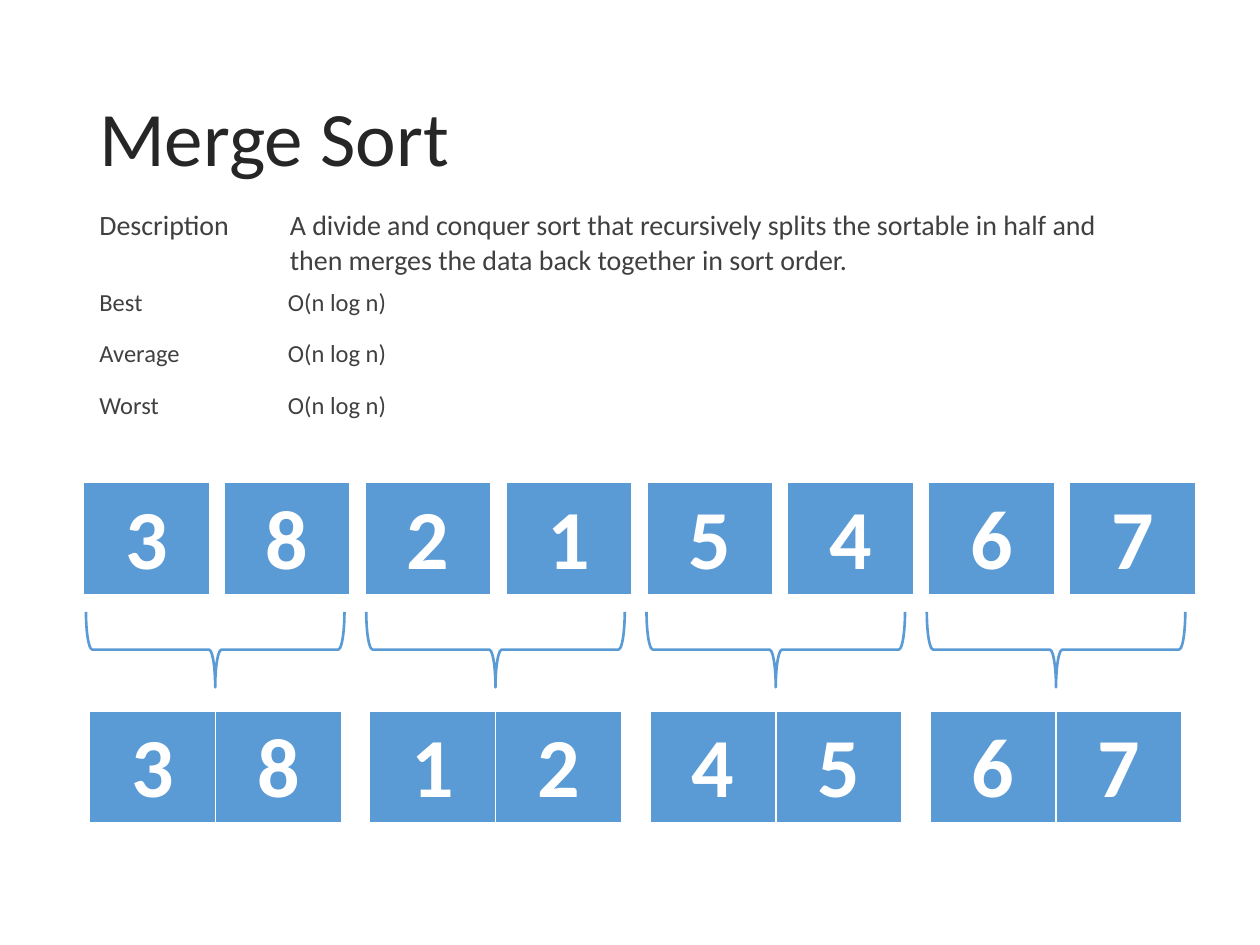
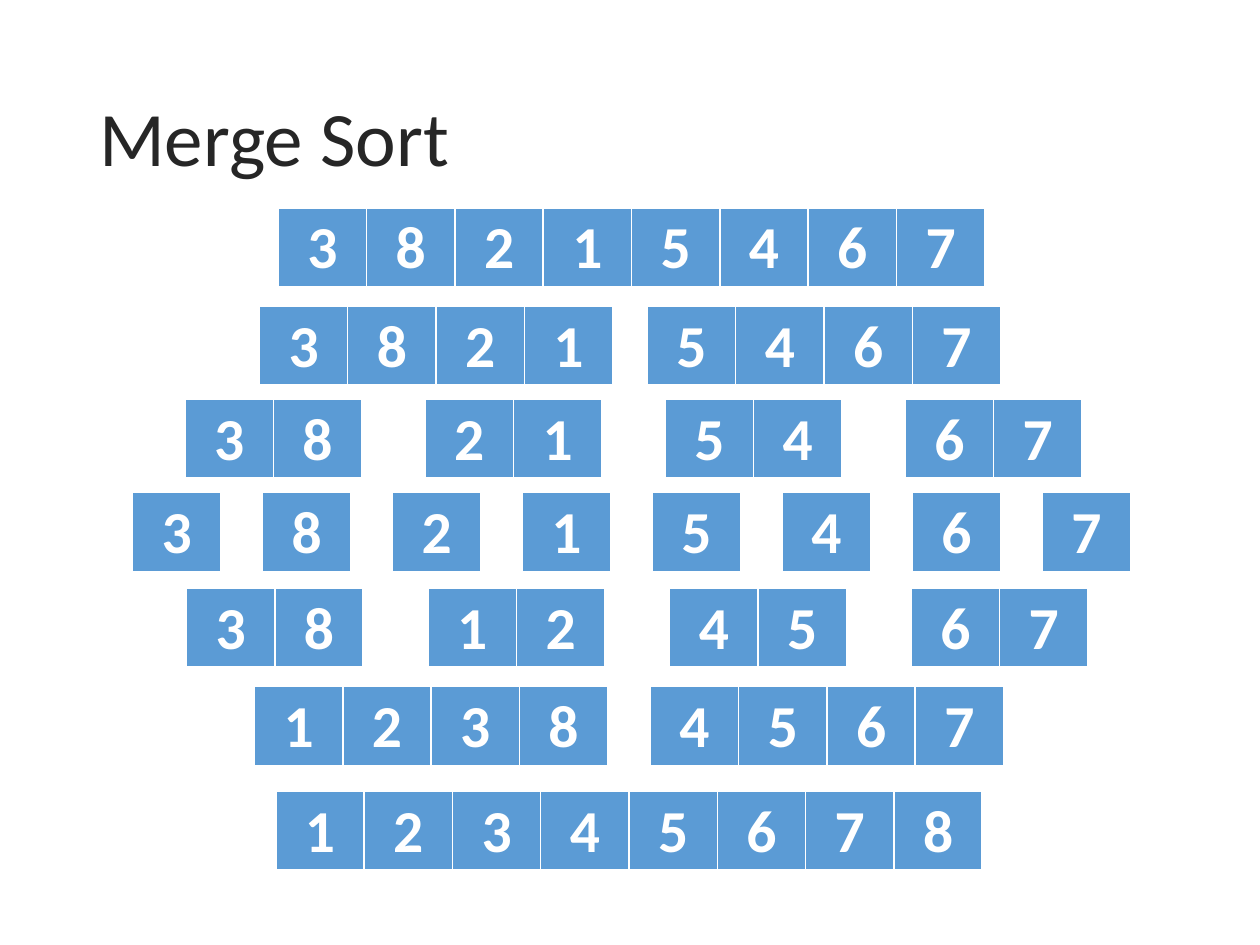
"""Build two slides that show how merge sort splits and merges a list."""
import pptx
import pptx.dml.color
import pptx.enum.shapes
import pptx.enum.text
import pptx.oxml
import pptx.oxml.ns
import pptx.util

TITLE = "Merge Sort"
ABOUT = [("Description", "A divide and conquer sort that recursively splits the sortable "
          "in half and then merges the data back together in sort order.")]
COSTS = [("Best", "O(n log n)"), ("Average", "O(n log n)"), ("Worst", "O(n log n)")]

PAIRS = [
    dict(top=9.73, left=1.68, step=2.84, groups="3 8 2 1 5 4 6 7"),
    dict(top=14.33, left=1.8, step=5.65, groups="38 12 45 67"),
]
STAGES = [
    dict(top=4.19, left=5.61, step=0, groups="38215467"),
    dict(top=6.17, left=5.23, step=7.82, groups="3821 5467"),
    dict(top=8.05, left=3.73, step=4.84, groups="38 21 54 67"),
    dict(top=9.93, left=2.67, step=2.62, groups="3 8 2 1 5 4 6 7"),
    dict(top=11.86, left=3.76, step=4.87, groups="38 12 45 67"),
    dict(top=13.84, left=5.13, step=7.98, groups="1238 4567"),
    dict(top=15.95, left=5.56, step=0, groups="12345678"),
]
BIG = dict(wide=2.54, high=2.27, size=48, pad=(0.25, 0.13))
SMALL = dict(wide=1.78, high=1.61, size=34, pad=(0.18, 0.09))
BRACE = dict(left=3.58, top=10.49, wide=1.52, high=5.21, step=5.65, count=4)

FONT = "Calibri"
INK, GREY, BLUE, WHITE = "262626", "404040", "5B9BD5", "FFFFFF"
EDGES = {"lnL": 1, "lnR": 1, "lnT": 1, "lnB": 3}
NO_STYLE = "{2D5ABB26-0587-4C30-8999-92F81FD0307C}"
ALIGN = pptx.enum.text.PP_ALIGN
Cm = pptx.util.Cm


def paint(target, color):
    target.rgb = pptx.dml.color.RGBColor.from_string(color)


def write(frame, text, size, color, bold=False, align=ALIGN.LEFT):
    para = frame.paragraphs[0]
    para.alignment = align
    run = para.add_run()
    run.text = text
    for name, value in dict(name=FONT, size=pptx.util.Pt(size), bold=bold).items():
        setattr(run.font, name, value)
    paint(run.font.color, color)
    return para


def add_title(slide):
    box = slide.shapes.add_textbox(Cm(1.75), Cm(1.02), Cm(21.9), Cm(3.68))
    look = dict(word_wrap=True, vertical_anchor=pptx.enum.text.MSO_ANCHOR.MIDDLE)
    for name, value in look.items():
        setattr(box.text_frame, name, value)
    write(box.text_frame, TITLE, 44, INK).line_spacing = 0.9


def add_grid(slide, rows, left, top, widths, high):
    frame = slide.shapes.add_table(len(rows), len(widths), Cm(left), Cm(top),
                                   Cm(sum(widths)), Cm(high * len(rows)))
    table = frame.table
    table.first_row = table.horz_banding = False
    table._tbl.tblPr.find(pptx.oxml.ns.qn("a:tableStyleId")).text = NO_STYLE
    for column, wide in zip(table.columns, widths):
        column.width = Cm(wide)
    for row in table.rows:
        row.height = Cm(high)
    return list(zip(table.iter_cells(), [text for row in rows for text in row]))


def add_facts(slide, rows, top, widths, high, size):
    for cell, text in add_grid(slide, rows, 1.75, top, widths, high):
        cell.fill.background()
        write(cell.text_frame, text, size, GREY)


def add_edges(cell):
    props = cell._tc.get_or_add_tcPr()
    for edge, points in EDGES.items():
        props.append(pptx.oxml.parse_xml(
            f'<a:{edge} {pptx.oxml.ns.nsdecls("a")} w="{pptx.util.Pt(points)}">'
            f'<a:solidFill><a:srgbClr val="{WHITE}"/></a:solidFill></a:{edge}>'))


def add_tiles(slide, top, left, step, groups, wide, high, size, pad):
    side, end = map(Cm, pad)
    gaps = dict(margin_left=side, margin_right=side, margin_top=end, margin_bottom=end)
    for index, group in enumerate(groups.split()):
        spot = left + index * step
        for cell, digit in add_grid(slide, [group], spot, top, [wide] * len(group), high):
            for name, value in gaps.items():
                setattr(cell, name, value)
            add_edges(cell)
            cell.fill.solid()
            paint(cell.fill.fore_color, BLUE)
            write(cell.text_frame, digit, size, WHITE, True, ALIGN.CENTER)


def add_braces(slide, left, top, wide, high, step, count):
    kind = pptx.enum.shapes.MSO_SHAPE.LEFT_BRACE
    for index in range(count):
        brace = slide.shapes.add_shape(kind, Cm(left + index * step), Cm(top),
                                       Cm(wide), Cm(high))
        brace.rotation = 270
        brace.shadow.inherit = False
        brace.fill.background()
        brace.line.width = pptx.util.Pt(1.5)
        paint(brace.line.color, BLUE)


def main():
    deck = pptx.Presentation()
    deck.slide_width, deck.slide_height = Cm(25.4), Cm(19.05)
    blank = deck.slide_layouts[6]
    first, second = [deck.slides.add_slide(blank) for _ in range(2)]
    for slide, stages, tile in ((first, PAIRS, BIG), (second, STAGES, SMALL)):
        add_title(slide)
        for stage in stages:
            add_tiles(slide, **stage, **tile)
    add_facts(first, ABOUT, 4.09, [3.84, 17.07], 1.6, 16)
    add_facts(first, COSTS, 5.69, [3.8, 3.8], 1.03, 14)
    add_braces(first, **BRACE)
    deck.save("out.pptx")


if __name__ == "__main__":
    main()
